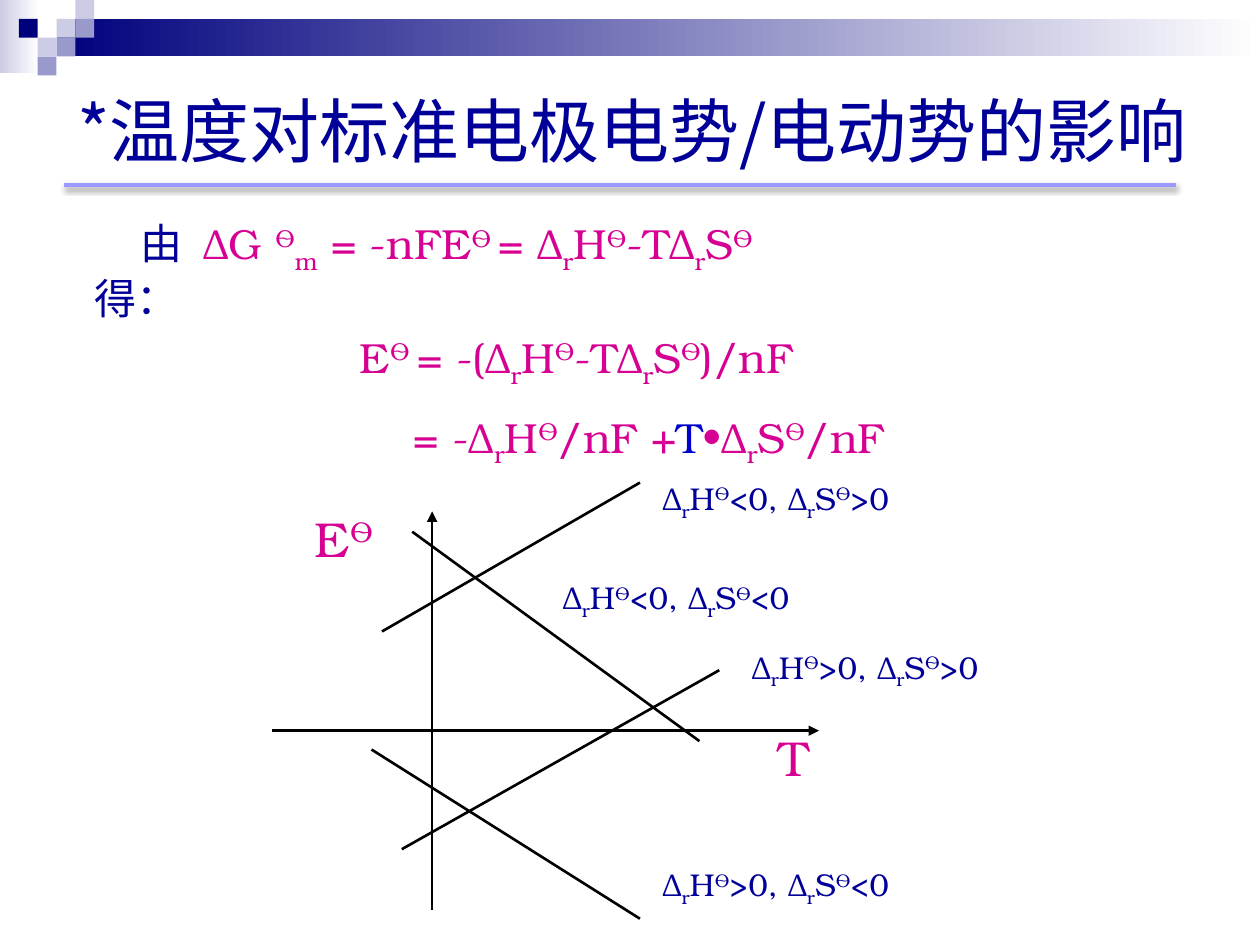
from lxml.etree import SubElement
from pptx import Presentation
from pptx.dml.color import RGBColor
from pptx.enum.shapes import MSO_CONNECTOR, MSO_SHAPE
from pptx.enum.text import MSO_ANCHOR, MSO_AUTO_SIZE, PP_ALIGN
from pptx.oxml.ns import qn
from pptx.util import Cm, Pt

SERIF = "TeX Gyre Bonum"
SANS = "Noto Sans CJK SC"
NAVY, PINK, BLUE = "000099", "D60093", "0000CC"
BASELINES = {"^": "30000", "_": "-25000"}


def rgb(value):
    return RGBColor.from_string(value)


def add_runs(p, markup, size, color, font=SERIF):
    for part in markup.split("|"):
        r = p.add_run()
        r.text = part.lstrip("^_")
        r.font.size = Pt(size)
        r.font.name = font
        r.font.color.rgb = rgb(color)
        if part[0] in BASELINES:
            r._r.get_or_add_rPr().set("baseline", BASELINES[part[0]])


def add_rect(s, x, y, w, h, color, fade_to=None):
    sp = s.shapes.add_shape(MSO_SHAPE.RECTANGLE, Cm(x), Cm(y), Cm(w), Cm(h))
    sp.shadow.inherit = False
    sp.line.fill.background()
    if fade_to:
        sp.fill.gradient()
        sp.fill.gradient_angle = 0
        for stop, value in zip(sp.fill.gradient_stops, (color, fade_to)):
            stop.color.rgb = rgb(value)
    else:
        sp.fill.solid()
        sp.fill.fore_color.rgb = rgb(color)


def add_line(s, x1, y1, x2, y2, color="000000", width=1.5, arrow=False):
    line = s.shapes.add_connector(MSO_CONNECTOR.STRAIGHT, Cm(x1), Cm(y1), Cm(x2), Cm(y2))
    line.line.color.rgb = rgb(color)
    line.line.width = Pt(width)
    if arrow:
        SubElement(line.line._get_or_add_ln(), qn("a:tailEnd"), type="triangle")
    return SubElement(line._element.spPr, qn("a:effectLst"))


def add_label(s, x, y, w, h, markup, size, color):
    sp = s.shapes.add_textbox(Cm(x), Cm(y), Cm(w), Cm(h))
    tf = sp.text_frame
    tf.word_wrap = False
    add_runs(tf.paragraphs[0], markup, size, color)


def place(sp, x, y, w, h):
    sp.left, sp.top, sp.width, sp.height = Cm(x), Cm(y), Cm(w), Cm(h)
    tf = sp.text_frame
    tf.auto_size = MSO_AUTO_SIZE.NONE
    tf.word_wrap = True
    return tf


def build_header(s, x, y, w):
    u = 0.38
    add_rect(s, x, y, 0.79, 1.47, "CCCCE6", "FFFFFF")
    add_rect(s, x + 3 * u, y + u, w - 3 * u, 2 * u, "00007D", "FFFFFF")
    squares = [(3, 1, "CCCCE6"), (4, 0, "CCCCE6"), (4, 1, "9999CC"), (2, 2, "CCCCE6"),
               (1, 1, "00007D"), (3, 2, "9999CC"), (2, 3, "9999CC")]
    for col, row, color in squares:
        add_rect(s, x + col * u, y + row * u, u, u, color)


def build_title(s, x, y, w, h):
    tf = place(s.shapes.title, x, y, w, h)
    tf.vertical_anchor = MSO_ANCHOR.MIDDLE
    p = tf.paragraphs[0]
    p.alignment = PP_ALIGN.LEFT
    add_runs(p, "*温度对标准电极电势/电动势的影响", 40, NAVY, SANS)
    rPr = p.runs[0]._r.get_or_add_rPr()
    SubElement(rPr, qn("a:ea"), typeface=SANS)
    effects = add_line(s, x, y + 3.02, x + 22.4, y + 3.02, "9999FF", 2.25)
    shadow = SubElement(effects, qn("a:outerShdw"), blurRad="40000", dist="20000",
                        dir="5400000", rotWithShape="0")
    clr = SubElement(shadow, qn("a:srgbClr"), val="000000")
    SubElement(clr, qn("a:alpha"), val="38000")


def build_derivation(s, x, y, w, h):
    tf = place(s.placeholders[1], x, y, w, h)
    lines = [
        (0, 0, (1.35, 3.33), [
            ("\t由\t", NAVY),
            ("ΔG |^Ѳ|_m| = -nFE|^Ѳ |= Δ|_r|H|^Ѳ|-TΔ|_r|S|^Ѳ", PINK)]),
        (0.36, 4.8, (), [("得：", NAVY)]),
        (5.7, 4.8, (), [("E|^Ѳ |= -(Δ|_r|H|^Ѳ|-TΔ|_r|S|^Ѳ|)/nF", PINK)]),
        (6.78, 16, (), [("= -Δ|_r|H|^Ѳ|/nF +", PINK), ("T", BLUE),
                        ("•Δ|_r|S|^Ѳ|/nF", PINK)]),
    ]
    for i, (indent, before, tabs, parts) in enumerate(lines):
        p = tf.add_paragraph() if i else tf.paragraphs[0]
        p.line_spacing = 0.9
        p.space_before = Pt(before)
        pPr = p._p.get_or_add_pPr()
        pPr.set("marL", str(Cm(indent)))
        pPr.set("indent", "0")
        SubElement(pPr, qn("a:buNone"))
        if tabs:
            tab_list = SubElement(pPr, qn("a:tabLst"))
            for pos in tabs:
                SubElement(tab_list, qn("a:tab"), pos=str(Cm(pos)), algn="l")
        for markup, color in parts:
            add_runs(p, markup, 24, color)


def build_graph(s, x, y):
    curves = [
        ((2.21, 3.2, 7.41, 0.2), (7.62, 0), "<", ">"),
        ((2.82, 1.19, 8.61, 5.41), (5.61, 2), "<", "<"),
        ((2.61, 7.59, 9.01, 3.98), (9.42, 3.4), ">", ">"),
        ((2, 5.58, 7.41, 8.99), (7.62, 7.79), ">", "<"),
    ]
    for (x1, y1, x2, y2), (lx, ly), h_sign, s_sign in curves:
        add_line(s, x + x1, y + y1, x + x2, y + y2)
        add_label(s, x + lx, y + ly, 5.13, 1.02,
                  f"Δ|_r|H|^Ѳ|{h_sign}0, Δ|_r|S|^Ѳ|{s_sign}0", 18, NAVY)
    add_line(s, x, y + 5.2, x + 11.02, y + 5.2, arrow=True)
    add_line(s, x + 3.22, y + 8.81, x + 3.22, y + 0.78, arrow=True)
    add_label(s, x + 9.95, y + 5.02, 1.14, 1.45, "T", 28, PINK)
    add_label(s, x + 0.61, y + 0.6, 1.68, 1.45, "E|^Ѳ", 28, PINK)


def main():
    prs = Presentation()
    prs.slide_width, prs.slide_height = Cm(25.4), Cm(19.05)
    s = prs.slides.add_slide(prs.slide_layouts[1])
    build_header(s, 0, 0, 25.4)
    build_title(s, 1.3, 0.71, 24.1, 3.81)
    build_derivation(s, 1.3, 4.28, 22.86, 5.27)
    build_graph(s, 5.49, 9.53)
    prs.save("out.pptx")


if __name__ == "__main__":
    main()
